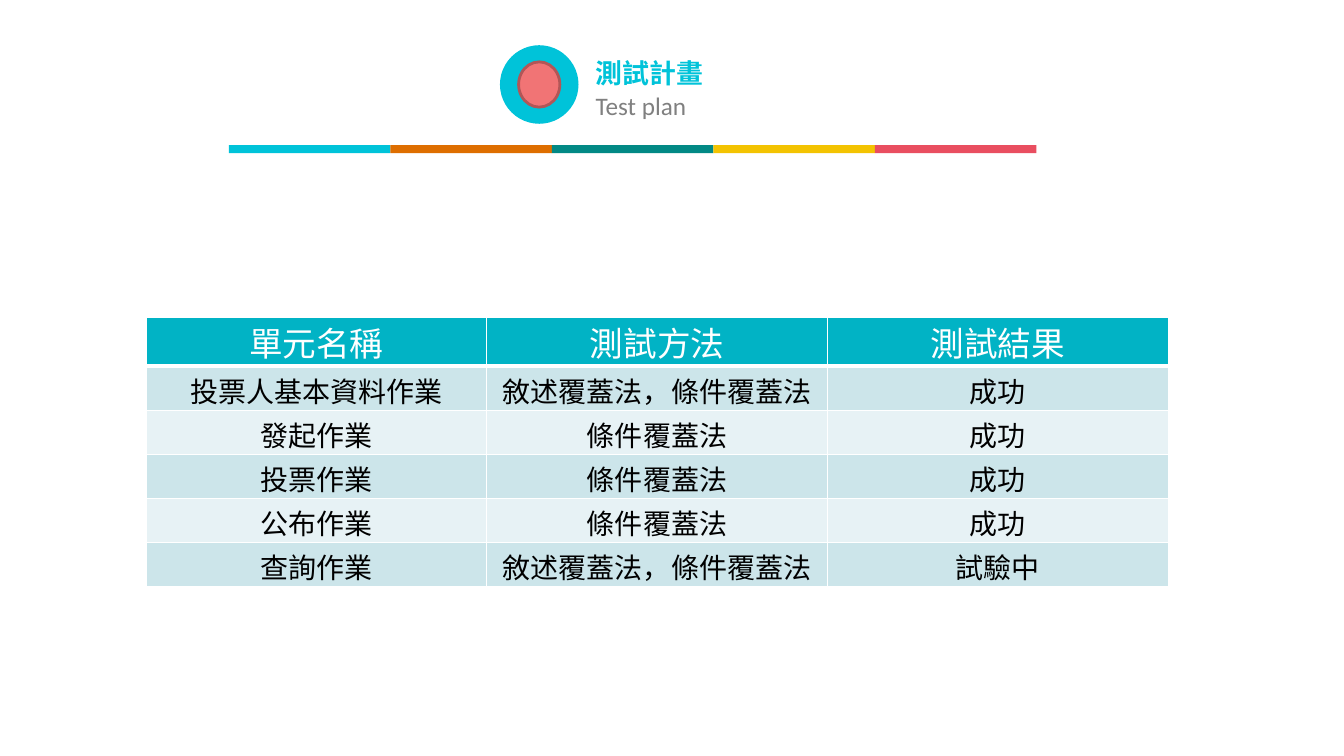
from pptx import Presentation
from pptx.dml.color import RGBColor
from pptx.enum.shapes import MSO_SHAPE
from pptx.enum.text import PP_ALIGN
from pptx.oxml import parse_xml
from pptx.oxml.ns import nsdecls
from pptx.util import Cm, Pt

CYAN = RGBColor(0x00, 0xC3, 0xD9)
ORANGE = RGBColor(0xDE, 0x6E, 0x00)
TEAL = RGBColor(0x02, 0x89, 0x85)
YELLOW = RGBColor(0xF3, 0xC3, 0x01)
RED = RGBColor(0xE9, 0x4E, 0x60)
CORAL = RGBColor(0xF1, 0x74, 0x75)
BRICK = RGBColor(0xB2, 0x56, 0x57)
GREY = RGBColor(0x80, 0x80, 0x80)
BLACK = RGBColor(0x00, 0x00, 0x00)
WHITE = RGBColor(0xFF, 0xFF, 0xFF)
HEADER_FILL = RGBColor(0x01, 0xB3, 0xC5)
BAND_FILLS = [RGBColor(0xCC, 0xE5, 0xEA), RGBColor(0xE7, 0xF2, 0xF5)]

HAN_FONT = "Noto Sans CJK SC"
LATIN_FONT = "Calibri"
BAR_COLOURS = [CYAN, ORANGE, TEAL, YELLOW, RED]
TEST_ROWS = [
    ["單元名稱", "測試方法", "測試結果"],
    ["投票人基本資料作業", "敘述覆蓋法，條件覆蓋法", "成功"],
    ["發起作業", "條件覆蓋法", "成功"],
    ["投票作業", "條件覆蓋法", "成功"],
    ["公布作業", "條件覆蓋法", "成功"],
    ["查詢作業", "敘述覆蓋法，條件覆蓋法", "試驗中"],
]


def add_solid(page, kind, left, top, width, height, colour):
    shape = page.shapes.add_shape(kind, Cm(left), Cm(top), Cm(width), Cm(height))
    shape.shadow.inherit = False
    shape.fill.solid()
    shape.fill.fore_color.rgb = colour
    shape.line.fill.background()
    return shape


def write_span(para, text, colour, **font_values):
    span = para.add_run()
    span.text = text
    for name, value in font_values.items():
        setattr(span.font, name, value)
    span.font.color.rgb = colour
    properties = span.font._element
    properties.append(parse_xml(f'<a:ea {nsdecls("a")} typeface="{HAN_FONT}"/>'))
    return properties


def add_text(page, left, top, width, height, text, colour, **font_values):
    box = page.shapes.add_textbox(Cm(left), Cm(top), Cm(width), Cm(height))
    frame = box.text_frame
    frame.word_wrap = True
    margins = {"margin_left": 0.2, "margin_right": 0.2, "margin_top": 0.1, "margin_bottom": 0.1}
    for name, value in margins.items():
        setattr(frame, name, Cm(value))
    return write_span(frame.paragraphs[0], text, colour, **font_values)


def draw_heading(page, left, top, size):
    add_solid(page, MSO_SHAPE.OVAL, left, top, size, size, CYAN)
    dot_width, dot_height = 1.04, 1.14
    dot = add_solid(page, MSO_SHAPE.OVAL, left + (size - dot_width) / 2,
                    top + (size - dot_height) / 2, dot_width, dot_height, CORAL)
    dot.line.color.rgb = BRICK
    dot.line.width = Pt(2)
    text_left = left + size + 0.23
    title = add_text(page, text_left, top + 0.03, 7.32, 1.22, "測試計畫", CYAN,
                     size=Pt(24), bold=True, name=HAN_FONT)
    title.set("cap", "small")
    add_text(page, text_left, top + 1.04, 8.53, 1.02, "Test plan", GREY,
             size=Pt(18), name=LATIN_FONT)


def draw_colour_bar(page, left, top, width, height):
    step = width / len(BAR_COLOURS)
    for index, colour in enumerate(BAR_COLOURS):
        add_solid(page, MSO_SHAPE.RECTANGLE, left + index * step, top, step, height, colour)


def set_borders(cell, bottom_width):
    properties = cell._tc.get_or_add_tcPr()
    widths = {"lnL": 1, "lnR": 1, "lnT": 1, "lnB": bottom_width}
    for position, (side, width) in enumerate(widths.items()):
        properties.insert(position, parse_xml(
            f'<a:{side} {nsdecls("a")} w="{Pt(width)}"><a:solidFill>'
            f'<a:srgbClr val="{WHITE}"/></a:solidFill></a:{side}>'))


def draw_test_table(page, left, top, width, header_height, body_height):
    row_count, column_count = len(TEST_ROWS), len(TEST_ROWS[0])
    height = header_height + body_height * (row_count - 1)
    table = page.shapes.add_table(row_count, column_count, Cm(left), Cm(top),
                                  Cm(width), Cm(height)).table
    for row_index, texts in enumerate(TEST_ROWS):
        header = row_index == 0
        table.rows[row_index].height = Cm(header_height if header else body_height)
        fill = HEADER_FILL if header else BAND_FILLS[(row_index - 1) % 2]
        margins = {"margin_left": 0.1, "margin_right": 0.1,
                   "margin_top": 0 if header else 0.08, "margin_bottom": 0}
        for column_index, text in enumerate(texts):
            cell = table.cell(row_index, column_index)
            for name, value in margins.items():
                setattr(cell, name, Cm(value))
            cell.fill.solid()
            cell.fill.fore_color.rgb = fill
            set_borders(cell, 3 if header else 1)
            para = cell.text_frame.paragraphs[0]
            para.alignment = PP_ALIGN.CENTER
            write_span(para, text, WHITE if header else BLACK,
                       size=Pt(24 if header else 20), bold=False, name=HAN_FONT)


def main():
    deck = Presentation()
    deck.slide_width, deck.slide_height = Cm(33.87), Cm(19.05)
    page = deck.slides.add_slide(deck.slide_layouts[6])
    draw_heading(page, 12.6, 1.14, 1.98)
    draw_colour_bar(page, 5.77, 3.66, 20.35, 0.2)
    draw_test_table(page, 3.68, 8, 25.76, 1.23, 1.11)
    deck.save("out.pptx")


if __name__ == "__main__":
    main()
